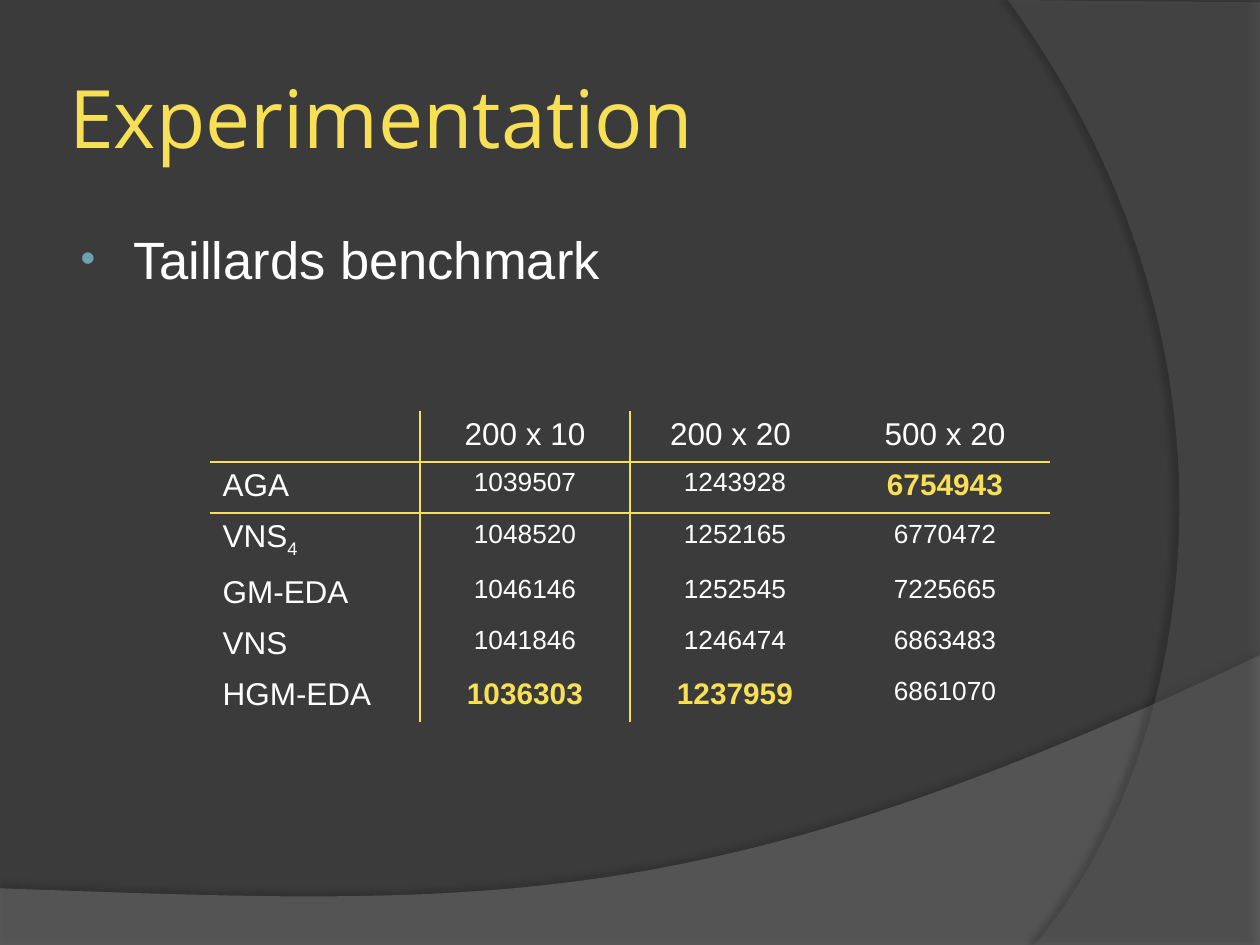
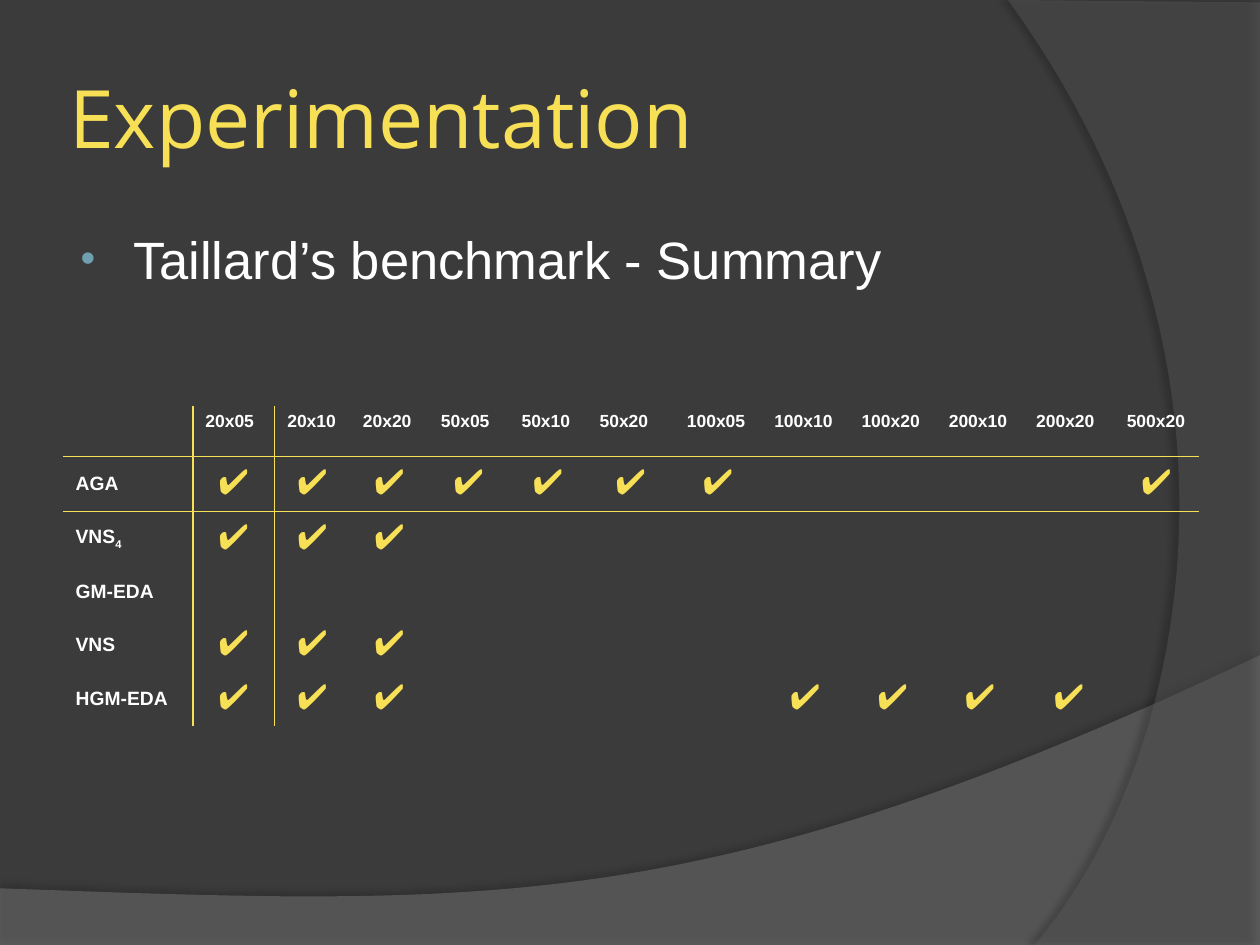
import pptx
import pptx.dml.color
import pptx.enum.text
import pptx.oxml
import pptx.oxml.ns
import pptx.util
from dataclasses import dataclass

Pt = pptx.util.Pt
qn = pptx.oxml.ns.qn
ALIGN = pptx.enum.text.PP_ALIGN
ANCHOR = pptx.enum.text.MSO_ANCHOR
NAMESPACE = 'xmlns:a="http://schemas.openxmlformats.org/drawingml/2006/main"'
NO_GRID_STYLE = "{2D5ABB26-0587-4C30-8999-92F81FD0307C}"


@dataclass(frozen=True)
class Theme:
    background: str = "3B3B3B"
    accent: str = "F7DF56"
    text: str = "FFFFFF"
    bullet: str = "6EA0B0"
    lower_band: str = "7F7F7F"
    side_band: str = "5E5E5E"
    shadow: str = "000000"
    title_font: str = "Open Sans"
    body_font: str = "Arial"
    title_size: float = 46
    body_size: float = 30
    rule_width: float = 1


@dataclass(frozen=True)
class TableStyle:
    header_size: float
    label_size: float
    value_size: float
    best_size: float
    bold: bool
    header_align: object
    label_anchor: object


def curve(start, first, second, end, steps=48):
    points = []
    for step in range(1, steps + 1):
        t = step / steps
        weights = ((1 - t) ** 3, 3 * t * (1 - t) ** 2, 3 * t * t * (1 - t), t ** 3)
        corners = (start, first, second, end)
        points.append(tuple(sum(w * c[axis] for w, c in zip(weights, corners)) for axis in (0, 1)))
    return points


class Deck:
    def __init__(self, theme):
        self.theme = theme
        self.presentation = pptx.Presentation()
        self.presentation.slide_width = Pt(720)
        self.presentation.slide_height = Pt(540)
        self.slide = None

    def color(self, value):
        return pptx.dml.color.RGBColor.from_string(value)

    def add_slide(self, title, bullet):
        self.slide = self.presentation.slides.add_slide(self.presentation.slide_layouts[6])
        fill = self.slide.background.fill
        fill.solid()
        fill.fore_color.rgb = self.color(self.theme.background)
        lower_curve = curve((720, 374.4), (402.5, 524.9), (281.5, 517.7), (0, 507.6))
        self.band([(0, 507.6), (0, 540.7), (720, 540.7), (720, 374.4)] + lower_curve,
                  self.theme.lower_band, 45, 35, 3.5, 270)
        side_curve = curve((591.1, 540), (673.2, 445.7), (733, 216), (576, 0))
        self.band([(720, 1.4), (720, 540), (591.1, 540)] + side_curve,
                  self.theme.side_band, 40, 45, 4, 180)
        self.title(title)
        self.bullet(bullet)

    def band(self, points, color, opacity, shadow_opacity, distance, direction):
        outline = [(Pt(x), Pt(y)) for x, y in points]
        builder = self.slide.shapes.build_freeform(*outline[0])
        builder.add_line_segments(outline[1:], close=True)
        shape = builder.convert_to_shape()
        shape.shadow.inherit = False
        shape.line.fill.background()
        shape.fill.solid()
        shape.fill.fore_color.rgb = self.color(color)
        properties = shape.element.spPr
        fill_color = properties.find(qn("a:solidFill")).find(qn("a:srgbClr"))
        fill_color.append(pptx.oxml.parse_xml(f'<a:alpha {NAMESPACE} val="{opacity * 1000}"/>'))
        properties.find(qn("a:effectLst")).append(pptx.oxml.parse_xml(
            f'<a:outerShdw {NAMESPACE} blurRad="{Pt(4)}" dist="{Pt(distance)}" '
            f'dir="{direction * 60000}" algn="ctr" rotWithShape="0">'
            f'<a:srgbClr val="{self.theme.shadow}"><a:alpha val="{shadow_opacity * 1000}"/>'
            f'</a:srgbClr></a:outerShdw>'))

    def text_frame(self, left, top, width, height, inset):
        frame = self.slide.shapes.add_textbox(Pt(left), Pt(top), Pt(width), Pt(height)).text_frame
        frame.word_wrap = True
        frame.margin_left = frame.margin_right = Pt(inset)
        frame.margin_top = frame.margin_bottom = Pt(3.6)
        return frame

    def run(self, paragraph, text, font, size, color, bold=False):
        run = paragraph.add_run()
        run.text = text
        run.font.name = font
        run.font.size = Pt(size)
        run.font.bold = bold
        run.font.color.rgb = self.color(color)
        return run

    def title(self, text):
        frame = self.text_frame(36, 21.6, 588, 90, 3.6)
        frame.vertical_anchor = ANCHOR.MIDDLE
        self.run(frame.paragraphs[0], text, self.theme.title_font,
                 self.theme.title_size, self.theme.accent)

    def bullet(self, text):
        paragraph = self.text_frame(36, 126, 588, 356.4, 7.2).paragraphs[0]
        properties = paragraph._p.get_or_add_pPr()
        properties.set("marL", str(Pt(33)))
        properties.set("indent", str(Pt(-30)))
        for markup in (
            '<a:spcBef {0}><a:spcPct val="20000"/></a:spcBef>',
            '<a:buClr {0}><a:srgbClr val="{1}"/></a:buClr>',
            '<a:buSzPct {0} val="80000"/>',
            '<a:buFont {0} typeface="{2}"/>',
            '<a:buChar {0} char="•"/>',
        ):
            properties.append(pptx.oxml.parse_xml(
                markup.format(NAMESPACE, self.theme.bullet, self.theme.body_font)))
        self.run(paragraph, text, self.theme.body_font, self.theme.body_size, self.theme.text)

    def border(self, cell, side):
        cell._tc.get_or_add_tcPr().append(pptx.oxml.parse_xml(
            f'<a:{side} {NAMESPACE} w="{Pt(self.theme.rule_width)}"><a:solidFill>'
            f'<a:srgbClr val="{self.theme.accent}"/></a:solidFill></a:{side}>'))

    def cell_text(self, cell, text, size, color, bold, align):
        paragraph = cell.text_frame.paragraphs[0]
        paragraph.alignment = align
        base, mark, subscript = text.partition("_")
        self.run(paragraph, base, self.theme.body_font, size, color, bold)
        if mark:
            run = self.run(paragraph, subscript, self.theme.body_font, size, color, bold)
            run.font._element.set("baseline", "-25000")

    def table(self, left, top, widths, row_height, rows, best, style):
        frame = self.slide.shapes.add_table(len(rows), len(widths), Pt(left), Pt(top),
                                            Pt(sum(widths)), Pt(row_height * len(rows)))
        table = frame.table
        table.first_row = table.horz_banding = False
        table._tbl.tblPr.find(qn("a:tableStyleId")).text = NO_GRID_STYLE
        for column, width in zip(table.columns, widths):
            column.width = Pt(width)
        for row_index, row in enumerate(rows):
            table.rows[row_index].height = Pt(row_height)
            for column_index, text in enumerate(row):
                cell = table.cell(row_index, column_index)
                if column_index < 2:
                    self.border(cell, "lnR")
                if row_index < 2:
                    self.border(cell, "lnB")
                cell.fill.background()
                size, color, bold, align = style.value_size, self.theme.text, style.bold, ALIGN.CENTER
                if row_index == 0:
                    size, align = style.header_size, style.header_align
                elif column_index == 0:
                    size, align = style.label_size, ALIGN.LEFT
                    cell.vertical_anchor = style.label_anchor
                elif (row_index, column_index) in best:
                    size, color, bold = style.best_size, self.theme.accent, True
                if text:
                    self.cell_text(cell, text, size, color, bold, align)


deck = Deck(Theme())
methods = ["AGA", "VNS_4", "GM-EDA", "VNS", "HGM-EDA"]

deck.add_slide("Experimentation", "Taillards benchmark")
results = [
    ["1039507", "1243928", "6754943"],
    ["1048520", "1252165", "6770472"],
    ["1046146", "1252545", "7225665"],
    ["1041846", "1246474", "6863483"],
    ["1036303", "1237959", "6861070"],
]
result_rows = [["", "200 x 10", "200 x 20 ", "500 x 20"]]
result_rows += [[method] + values for method, values in zip(methods, results)]
deck.table(120, 234.8, [120] * 4, 29.2, result_rows, {(1, 3), (5, 1), (5, 2)},
           TableStyle(18, 18, 15, 17, False, ALIGN.CENTER, ANCHOR.TOP))

deck.add_slide("Experimentation", "Taillard’s benchmark - Summary")
instances = ["20x05", "20x10", "20x20", "50x05", "50x10", "50x20", "100x05",
             "100x10", "100x20", "200x10", "200x20", "500x20"]
small = {"20x05", "20x10", "20x20"}
wins = {
    "AGA": small | {"50x05", "50x10", "50x20", "100x05", "500x20"},
    "VNS_4": small,
    "GM-EDA": set(),
    "VNS": small,
    "HGM-EDA": small | {"100x10", "100x20", "200x10", "200x20"},
}
summary_rows = [[""] + instances]
summary_rows += [[method] + ["✔" if name in wins[method] else "" for name in instances]
                 for method in methods]
checks = {(row, column) for row in range(1, 6) for column in range(1, 13)}
summary_widths = [74.2, 46.8, 43.2, 44.6, 46.1, 44.6] + [49.9] * 5 + [51.8, 48.2]
deck.table(36, 231.8, summary_widths, 29.2, summary_rows, checks,
           TableStyle(10, 11, 20, 20, True, ALIGN.LEFT, ANCHOR.MIDDLE))

deck.presentation.save("out.pptx")
